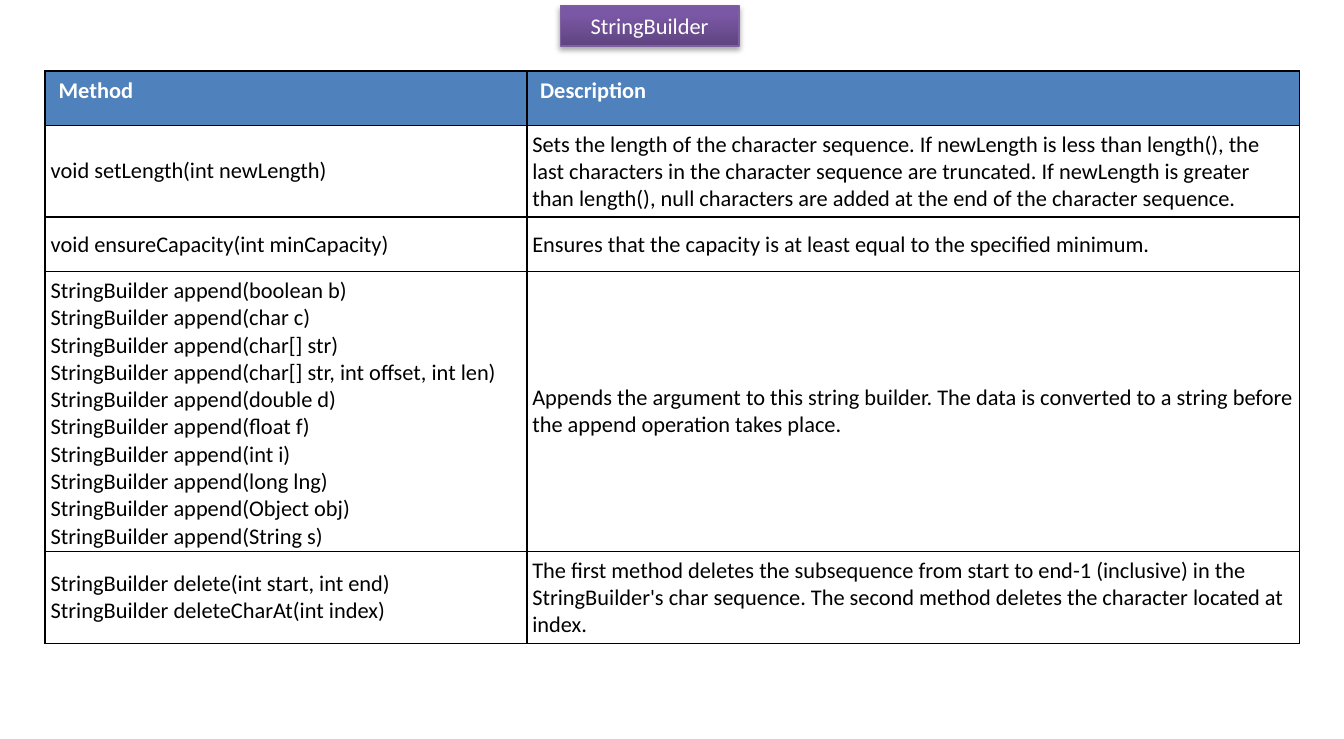
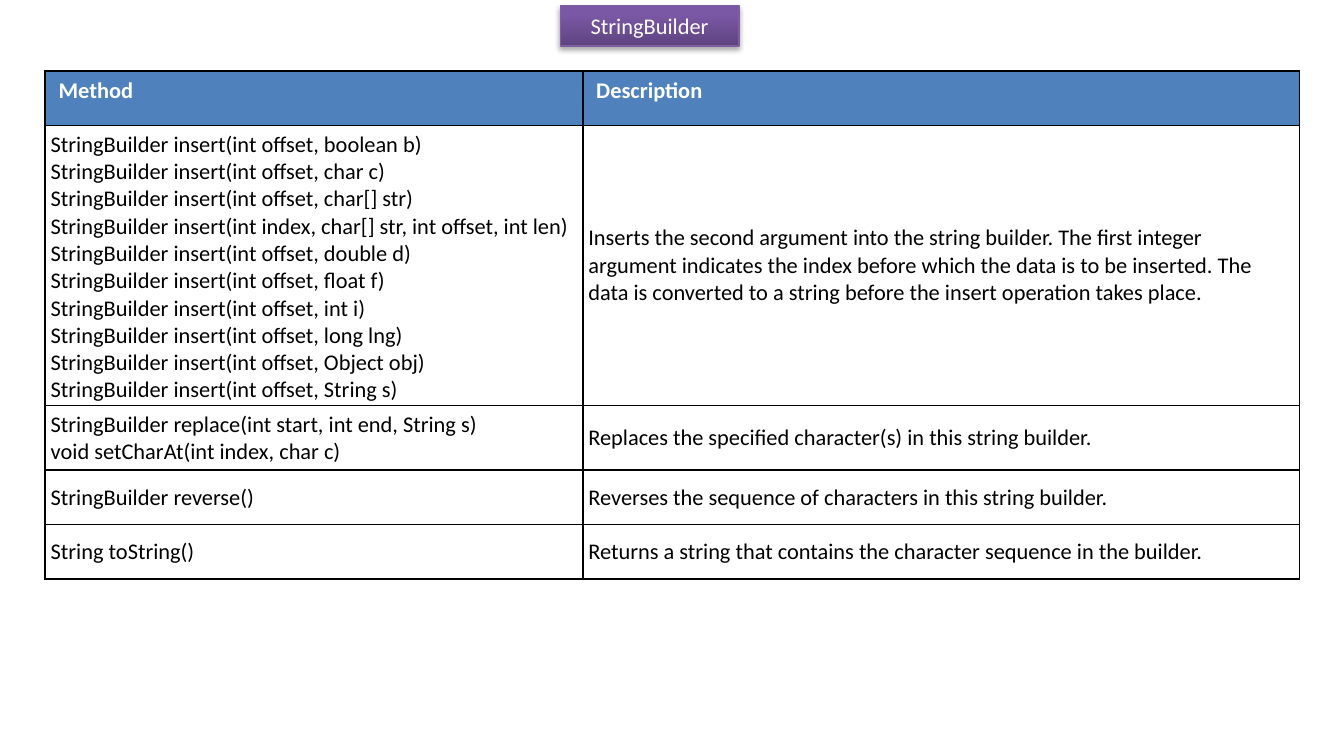
from copy import deepcopy
from dataclasses import dataclass

from lxml import etree
from pptx import Presentation
from pptx.dml.color import RGBColor
from pptx.enum.shapes import MSO_SHAPE
from pptx.enum.text import MSO_ANCHOR, MSO_AUTO_SIZE, PP_ALIGN
from pptx.oxml.ns import qn
from pptx.util import Pt

RECTANGLE = MSO_SHAPE.RECTANGLE
MIDDLE = MSO_ANCHOR.MIDDLE
GROW = MSO_AUTO_SIZE.SHAPE_TO_FIT_TEXT
CENTER = PP_ALIGN.CENTER


@dataclass(frozen=True)
class Theme:
    font: str = "Calibri"
    size: float = 12
    light: str = "FFFFFF"
    dark: str = "000000"
    header: str = "4F81BD"
    badge_line: str = "7D60A0"
    badge_stops: tuple = ((0, "5F4480"), (0.8, "7B58A6"), (1, "7C57A8"))
    badge_line_width: float = 0.75
    border_width: float = 1
    cell_inset: float = 3


THEME = Theme()
BADGE_BOX = (300.2, 2.9, 95.8, 21.8)
TABLE_LEFT, TABLE_TOP = 24.2, 38
ROW_HEIGHT = 29.2
HEADINGS = ("Method", "Description")

APPEND_ARGUMENTS = (
    "boolean b", "char c", "char[] str", "char[] str, int offset, int len",
    "double d", "float f", "int i", "long lng", "Object obj", "String s",
)
INSERT_ARGUMENTS = (
    "int offset, boolean b", "int offset, char c", "int offset, char[] str",
    "int index, char[] str, int offset, int len", "int offset, double d",
    "int offset, float f", "int offset, int i", "int offset, long lng",
    "int offset, Object obj", "int offset, String s",
)


def overloads(method, arguments):
    return [f"StringBuilder {method}({argument})" for argument in arguments]


EDITING_METHODS = (
    (["void setLength(int newLength)"],
     "Sets the length of the character sequence. If newLength is less than length(), "
     "the last characters in the character sequence are truncated. If newLength is "
     "greater than length(), null characters are added at the end of the character "
     "sequence."),
    (["void ensureCapacity(int minCapacity)"],
     "Ensures that the capacity is at least equal to the specified minimum."),
    (overloads("append", APPEND_ARGUMENTS),
     "Appends the argument to this string builder. The data is converted to a string "
     "before the append operation takes place."),
    (["StringBuilder delete(int start, int end)",
      "StringBuilder deleteCharAt(int index)"],
     "The first method deletes the subsequence from start to end-1 (inclusive) in "
     "the StringBuilder's char sequence. The second method deletes the character "
     "located at index."),
)
INSERTING_METHODS = (
    (overloads("insert", INSERT_ARGUMENTS),
     "Inserts the second argument into the string builder. The first integer argument "
     "indicates the index before which the data is to be inserted. The data is "
     "converted to a string before the insert operation takes place."),
    (["StringBuilder replace(int start, int end, String s)",
      "void setCharAt(int index, char c)"],
     "Replaces the specified character(s) in this string builder."),
    (["StringBuilder reverse()"],
     "Reverses the sequence of characters in this string builder."),
    (["String toString()"],
     "Returns a string that contains the character sequence in the builder."),
)


def write(paragraph, lines, color, bold=False):
    for index, line in enumerate(lines):
        if index:
            paragraph.add_line_break()
        run = paragraph.add_run()
        run.text = line
        run.font.name = THEME.font
        run.font.size = Pt(THEME.size)
        run.font.bold = bold
        run.font.color.rgb = RGBColor.from_string(color)


def add_color(parent, color):
    return etree.SubElement(parent, qn("a:srgbClr"), val=color)


def add_badge(slide, box, title):
    badge = slide.shapes.add_shape(RECTANGLE, *map(Pt, box))
    badge.line.color.rgb = RGBColor.from_string(THEME.badge_line)
    badge.line.width = Pt(THEME.badge_line_width)

    badge.fill.gradient()
    badge.fill.gradient_angle = 90
    stop_list = badge._element.spPr.find(qn("a:gradFill")).find(qn("a:gsLst"))
    stop_list.insert(1, deepcopy(stop_list[0]))
    for stop, (position, color) in zip(badge.fill.gradient_stops, THEME.badge_stops):
        stop.position = position
        stop.color.rgb = RGBColor.from_string(color)

    badge.shadow.inherit = False
    effects = badge._element.spPr.find(qn("a:effectLst"))
    shadow = etree.SubElement(
        effects, qn("a:outerShdw"), blurRad=str(Pt(3.1)), dist=str(Pt(1.8)),
        dir="5400000", rotWithShape="0")
    etree.SubElement(add_color(shadow, THEME.dark), qn("a:alpha"), val="35000")

    frame = badge.text_frame
    frame.word_wrap = True
    frame.auto_size = GROW
    frame.vertical_anchor = MIDDLE
    frame.paragraphs[0].alignment = CENTER
    write(frame.paragraphs[0], [title], THEME.light)


def add_borders(cell):
    properties = cell._tc.get_or_add_tcPr()
    for side in ("lnL", "lnR", "lnT", "lnB"):
        border = etree.SubElement(
            properties, qn(f"a:{side}"), w=str(Pt(THEME.border_width)))
        add_color(etree.SubElement(border, qn("a:solidFill")), THEME.dark)


def style_header(cell, heading):
    add_borders(cell)
    cell.fill.solid()
    cell.fill.fore_color.rgb = RGBColor.from_string(THEME.header)
    write(cell.text_frame.paragraphs[0], [heading], THEME.light, bold=True)


def style_entry(cell, lines):
    add_borders(cell)
    cell.fill.background()
    cell.vertical_anchor = MIDDLE
    cell.margin_left = cell.margin_right = Pt(THEME.cell_inset)
    cell.margin_top = cell.margin_bottom = Pt(THEME.cell_inset)
    write(cell.text_frame.paragraphs[0], lines, THEME.dark)


def add_method_table(slide, left, top, column_widths, height, methods):
    frame = slide.shapes.add_table(
        len(methods) + 1, len(HEADINGS), Pt(left), Pt(top),
        Pt(sum(column_widths)), Pt(height))
    table = frame.table
    table.first_row = table.horz_banding = False
    for column, width in zip(table.columns, column_widths):
        column.width = Pt(width)
    for row in table.rows:
        row.height = Pt(ROW_HEIGHT)
    frame.height = Pt(height)

    for column, heading in enumerate(HEADINGS):
        style_header(table.cell(0, column), heading)
    for row, (signatures, description) in enumerate(methods, start=1):
        style_entry(table.cell(row, 0), signatures)
        style_entry(table.cell(row, 1), [description])


def add_method_slide(deck, column_widths, table_height, methods):
    slide = deck.slides.add_slide(deck.slide_layouts[6])
    add_badge(slide, BADGE_BOX, "StringBuilder")
    add_method_table(
        slide, TABLE_LEFT, TABLE_TOP, column_widths, table_height, methods)


def main():
    deck = Presentation()
    deck.slide_width, deck.slide_height = Pt(720), Pt(396)
    add_method_slide(deck, (258, 414), 306.7, EDITING_METHODS)
    add_method_slide(deck, (288, 384), 272.2, INSERTING_METHODS)
    deck.save("out.pptx")


if __name__ == "__main__":
    main()
